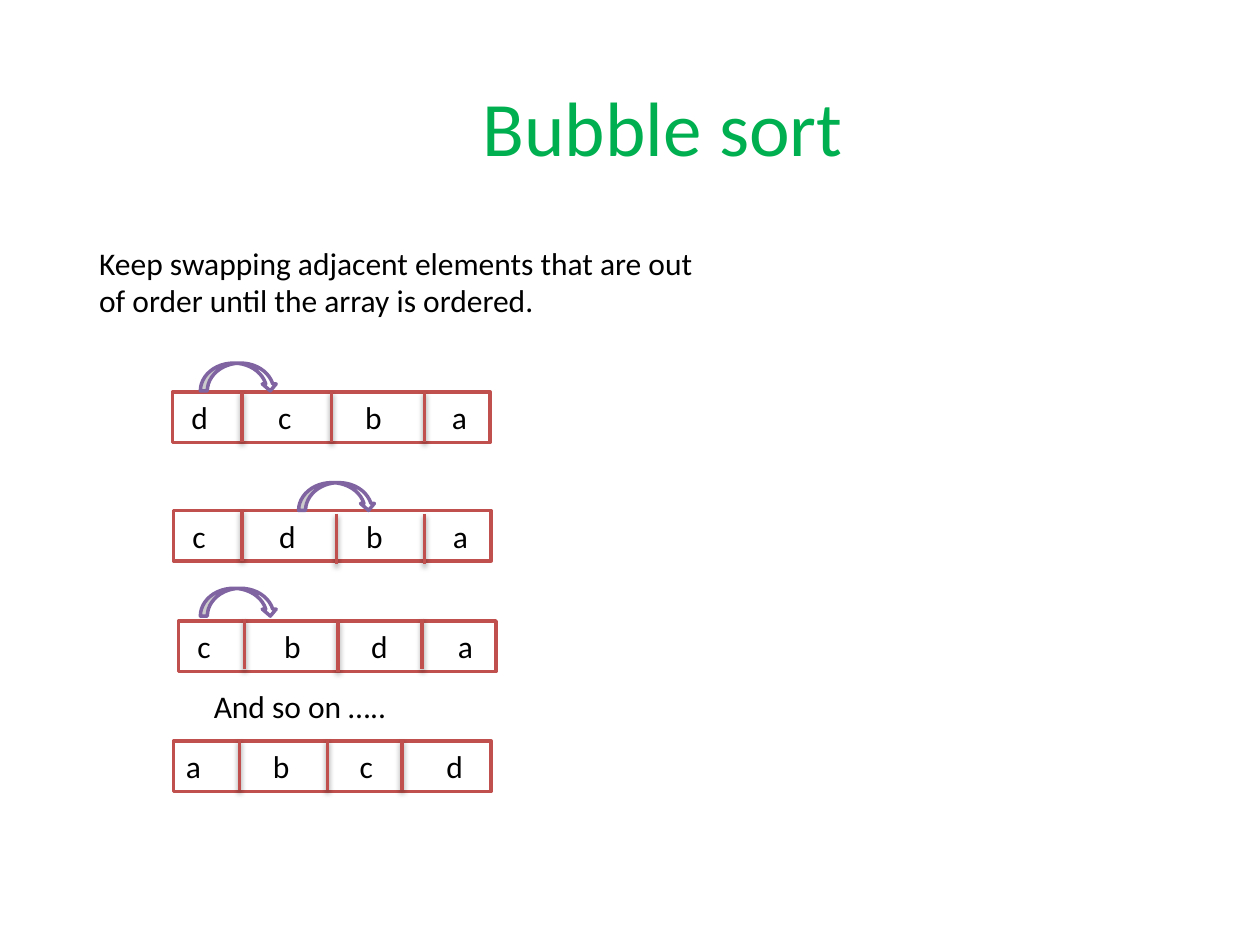
"""Build a slide that shows the steps of a bubble sort."""
from typing import NamedTuple, Optional

from lxml import etree
from pptx import Presentation
from pptx import util as u
from pptx.dml.color import RGBColor
from pptx.enum import shapes as sh, text as tx
from pptx.oxml import ns

RED, PLUM, GREEN, BLACK, WHITE = "C0504D", "8064A2", "00B050", "000000", "FFFFFF"
WIDE, HIGH = 6.4, 1.02
PITCH = 1.75


class Cut(NamedTuple):
    x: float
    y: float


class Row(NamedTuple):
    x: float
    y: float
    keys: str
    pad: float
    cuts: list[Cut]
    swap: Optional[Cut] = None


ROWS = [
    Row(3.48, 7.9, "dcba", 0.38,
        [Cut(4.88, 7.9), Cut(6.68, 7.9), Cut(8.56, 7.9)], Cut(4.04, 7.32)),
    Row(3.5, 10.29, "cdba", 0.38,
        [Cut(4.88, 10.29), Cut(6.78, 10.36), Cut(8.56, 10.36)], Cut(6.02, 9.73)),
    Row(3.6, 12.52, "cbda", 0.38,
        [Cut(4.93, 12.47), Cut(6.81, 12.52), Cut(8.51, 12.47)], Cut(4.04, 11.86)),
    Row(3.5, 14.94, "abcd", 0.25,
        [Cut(4.83, 14.91), Cut(6.6, 14.91), Cut(8.1, 14.91)]),
]


def tint(code: str) -> RGBColor:
    return RGBColor.from_string(code)


def write(frame, words: str, size: int = 18, code: str = BLACK,
          side=tx.PP_ALIGN.LEFT, hold=tx.MSO_ANCHOR.TOP):
    frame.word_wrap = True
    frame.vertical_anchor = hold
    para = frame.paragraphs[0]
    para.alignment = side
    run = para.add_run()
    run.text = words
    run.font.name = "Calibri"
    run.font.size = u.Pt(size)
    run.font.color.rgb = tint(code)
    return para


def label(x: float, y: float, wide: float, high: float, words: str, **look) -> None:
    box = slide.shapes.add_textbox(u.Cm(x), u.Cm(y), u.Cm(wide), u.Cm(high))
    write(box.text_frame, words, **look)


def block(kind, x: float, y: float, wide: float, high: float, edge: str):
    item = slide.shapes.add_shape(kind, u.Cm(x), u.Cm(y), u.Cm(wide), u.Cm(high))
    item.shadow.inherit = False
    item.fill.solid()
    item.fill.fore_color.rgb = tint(WHITE)
    item.line.color.rgb = tint(edge)
    item.line.width = u.Pt(2)
    return item


def split(cut: Cut) -> None:
    line = slide.shapes.add_connector(
        sh.MSO_CONNECTOR.STRAIGHT,
        u.Cm(cut.x), u.Cm(cut.y), u.Cm(cut.x), u.Cm(cut.y + HIGH))
    line.line.color.rgb = tint(RED)
    line.line.width = u.Pt(2)
    prop = line._element.spPr
    glow = etree.SubElement(prop, ns.qn("a:effectLst"))
    dark = etree.SubElement(
        glow, ns.qn("a:outerShdw"), blurRad=str(u.Pt(3.1)),
        dist=str(u.Pt(1.6)), dir="5400000", rotWithShape="0")
    hue = etree.SubElement(dark, ns.qn("a:srgbClr"), val=BLACK)
    etree.SubElement(hue, ns.qn("a:alpha"), val="38000")


def draw(row: Row) -> None:
    box = block(sh.MSO_SHAPE.RECTANGLE, row.x, row.y, WIDE, HIGH, RED)
    box.text_frame.margin_left = u.Cm(row.pad)
    para = write(box.text_frame, "\t".join(row.keys))
    tabs = etree.SubElement(para._p.get_or_add_pPr(), ns.qn("a:tabLst"))
    for step in range(1, len(row.keys)):
        etree.SubElement(tabs, ns.qn("a:tab"), pos=str(u.Cm(step * PITCH)), algn="l")
    for cut in row.cuts:
        split(cut)
    if row.swap:
        block(sh.MSO_SHAPE.CURVED_DOWN_ARROW, row.swap.x, row.swap.y, 1.55, 0.56, PLUM)


deck = Presentation()
deck.slide_width, deck.slide_height = u.Cm(25.4), u.Cm(19.05)
slide = deck.slides.add_slide(deck.slide_layouts[6])

label(2.11, 0.94, 22.86, 3.18, "Bubble sort ", size=44, code=GREEN,
      side=tx.PP_ALIGN.CENTER, hold=tx.MSO_ANCHOR.MIDDLE)
label(1.75, 3.23, 12.7, 3.33,
      "Keep swapping adjacent elements that are out of order until the array is ordered.",
      hold=tx.MSO_ANCHOR.BOTTOM)
for row in ROWS:
    draw(row)
label(4.06, 13.72, 4.85, 1.02, "And so on …..")

deck.save("out.pptx")
